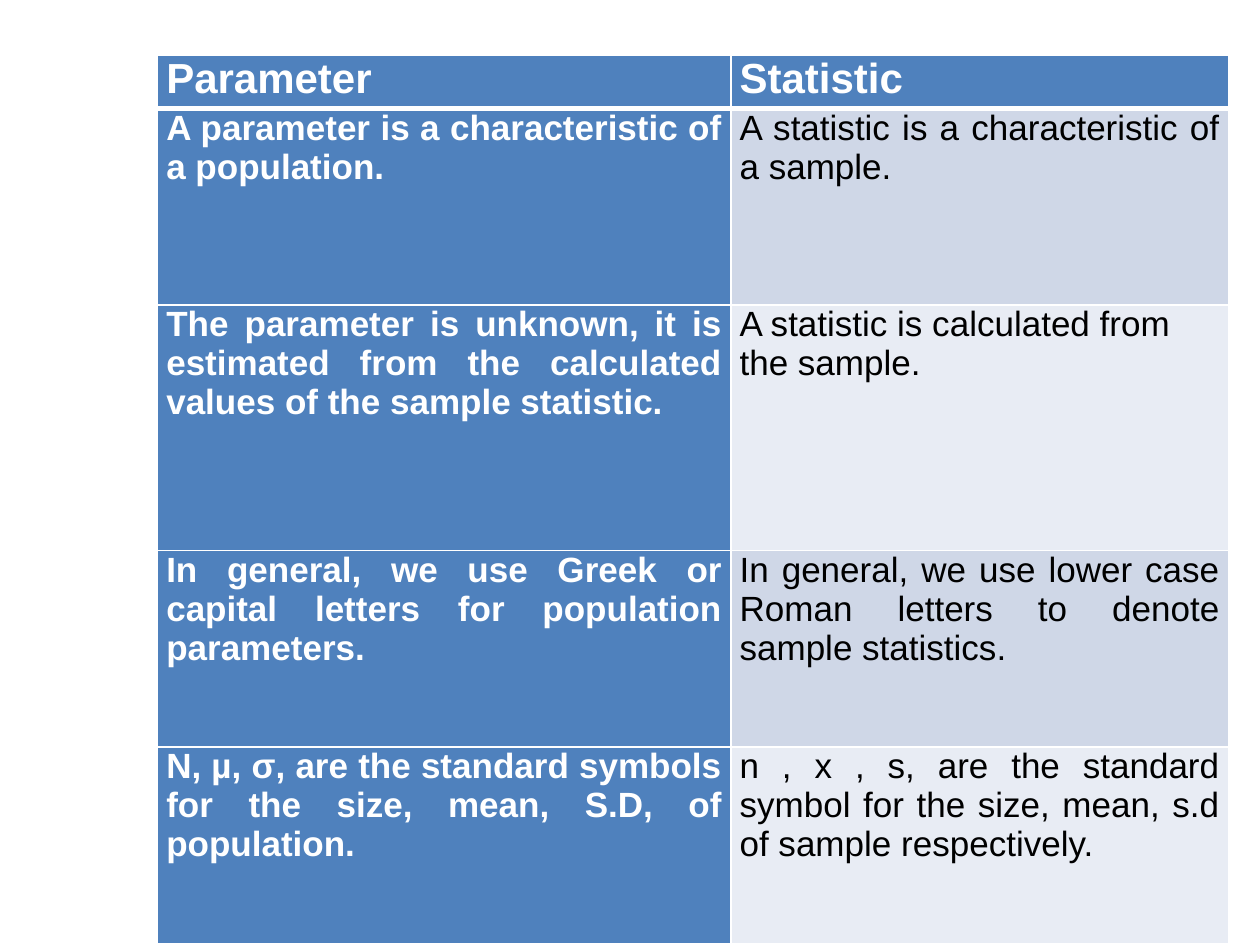
from dataclasses import dataclass

from lxml import etree
from pptx import Presentation
from pptx.dml.color import RGBColor
from pptx.enum import text
from pptx.oxml import ns
from pptx.table import _Cell
from pptx.util import Inches, Pt

WHITE = RGBColor(0xFF, 0xFF, 0xFF)
BLACK = RGBColor(0x00, 0x00, 0x00)
BLUE = RGBColor(0x4F, 0x81, 0xBD)
BAND_DARK = RGBColor(0xCF, 0xD7, 0xE7)
BAND_LIGHT = RGBColor(0xE8, 0xEC, 0xF4)

COLUMN_WIDTHS = (4.55, 3.95)
SIDES = ("L", "R", "T", "B")


@dataclass(frozen=True)
class Comparison:
    parameter: str
    statistic: str
    height: float
    justify_statistic: bool = True


@dataclass(frozen=True)
class CellStyle:
    fill: RGBColor
    color: RGBColor
    size: int
    bold: bool
    justified: bool
    borders: tuple[float, float, float, float] = (1, 1, 1, 1)


HEADER = Comparison("Parameter", "Statistic", 0.42)
COMPARISONS = (
    Comparison(
        "A parameter is a characteristic of a population.",
        "A statistic is a characteristic of a sample. ",
        1.56,
    ),
    Comparison(
        "The parameter is unknown, it is estimated from the calculated values of the sample statistic.",
        "A statistic is calculated from the sample.",
        1.95,
        justify_statistic=False,
    ),
    Comparison(
        "In general, we use Greek or capital letters for population parameters.",
        "In general, we use lower case Roman letters to denote sample statistics.",
        1.56,
    ),
    Comparison(
        "N, µ, σ, are the standard symbols for the size, mean, S.D, of population.",
        "n , x , s, are the standard symbol for the size, mean, s.d of sample respectively.",
        1.56,
    ),
)


def set_borders(cell: _Cell, widths: tuple[float, ...]) -> None:
    properties = cell._tc.get_or_add_tcPr()
    for position, (side, width) in enumerate(zip(SIDES, widths)):
        line = etree.Element(ns.qn(f"a:ln{side}"), w=str(Pt(width)))
        fill = etree.SubElement(line, ns.qn("a:solidFill"))
        etree.SubElement(fill, ns.qn("a:srgbClr"), val=str(WHITE))
        properties.insert(position, line)


def write_cell(cell: _Cell, wording: str, style: CellStyle) -> None:
    cell.margin_left = cell.margin_right = Inches(0.07)
    cell.margin_top = cell.margin_bottom = 0
    cell.fill.solid()
    cell.fill.fore_color.rgb = style.fill
    set_borders(cell, style.borders)
    paragraph = cell.text_frame.paragraphs[0]
    if style.justified:
        paragraph.alignment = text.PP_ALIGN.JUSTIFY
    run = paragraph.add_run()
    run.text = wording
    run.font.name = "Arial"
    run.font.size = Pt(style.size)
    run.font.bold = style.bold
    run.font.color.rgb = style.color


def main() -> None:
    presentation = Presentation()
    presentation.slide_width = Inches(10)
    presentation.slide_height = Inches(7.5)
    slide = presentation.slides.add_slide(presentation.slide_layouts[6])

    rows = (HEADER, *COMPARISONS)
    table = slide.shapes.add_table(
        len(rows), len(COLUMN_WIDTHS), Inches(1.25), Inches(0.44),
        Inches(sum(COLUMN_WIDTHS)), Inches(sum(row.height for row in rows)),
    ).table
    table.first_col = True
    for column, width in zip(table.columns, COLUMN_WIDTHS):
        column.width = Inches(width)

    header_style = CellStyle(BLUE, WHITE, 24, True, False, (1, 1, 1, 3))
    parameter_style = CellStyle(BLUE, WHITE, 20, True, True)
    for index, row in enumerate(rows):
        table.rows[index].height = Inches(row.height)
        if row is HEADER:
            styles = (header_style, header_style)
        else:
            top = 3 if index == 1 else 1
            band = BAND_DARK if index % 2 else BAND_LIGHT
            borders = (1, 1, top, 1)
            styles = (
                CellStyle(BLUE, WHITE, 20, True, True, borders),
                CellStyle(band, BLACK, 20, False, row.justify_statistic, borders),
            )
        for column, (wording, style) in enumerate(zip((row.parameter, row.statistic), styles)):
            write_cell(table.cell(index, column), wording, style)

    presentation.save("out.pptx")


if __name__ == "__main__":
    main()
